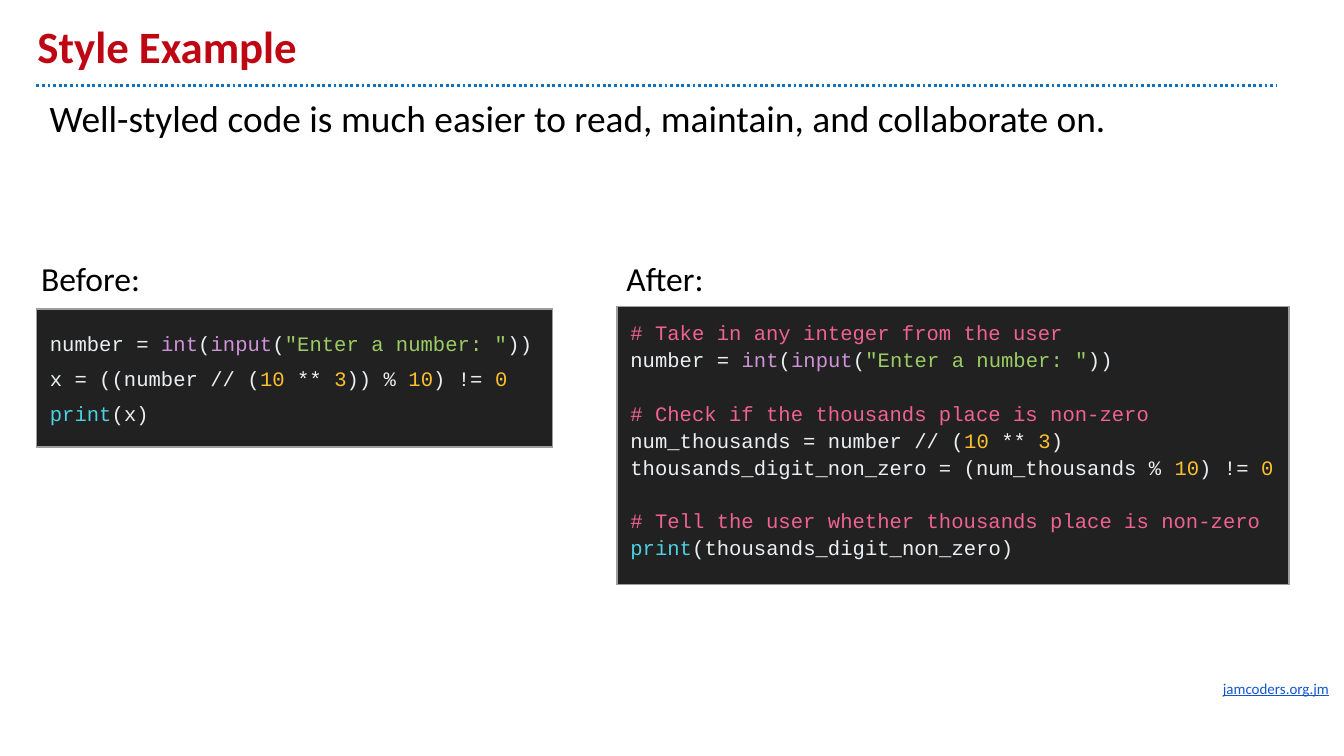
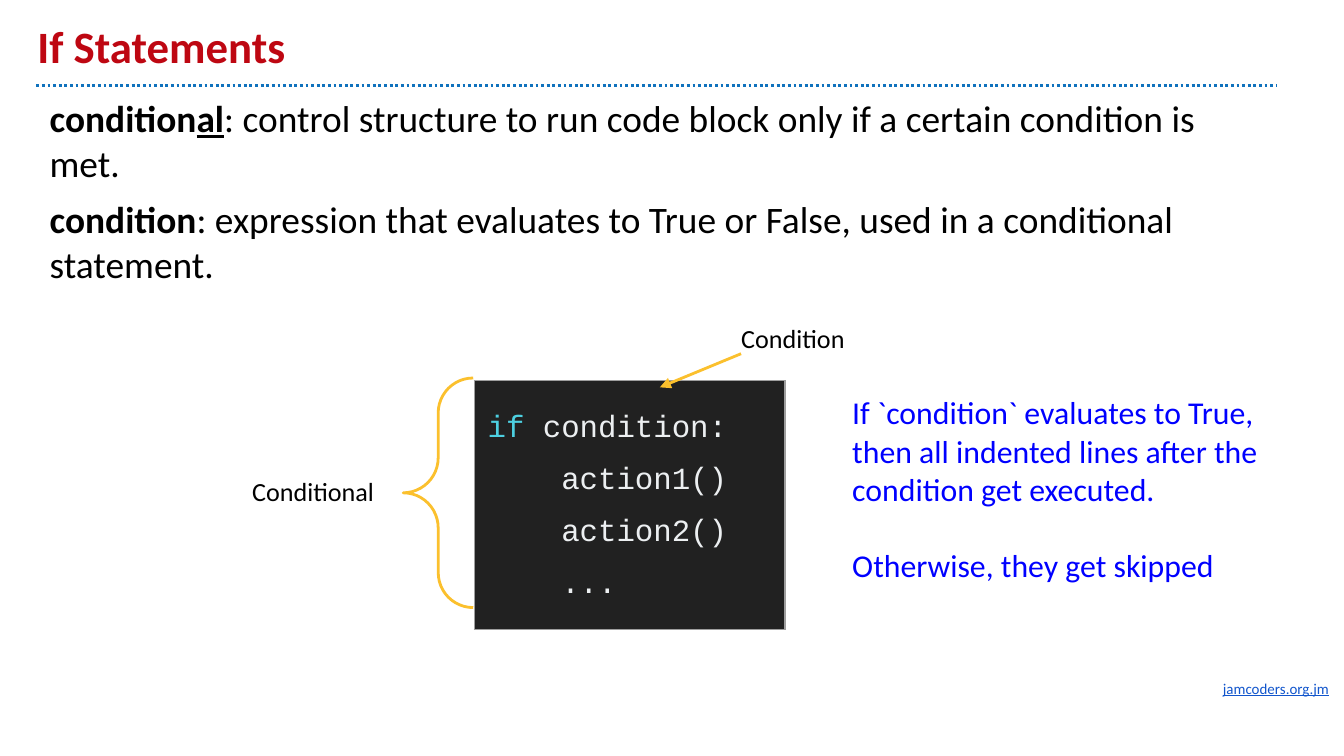
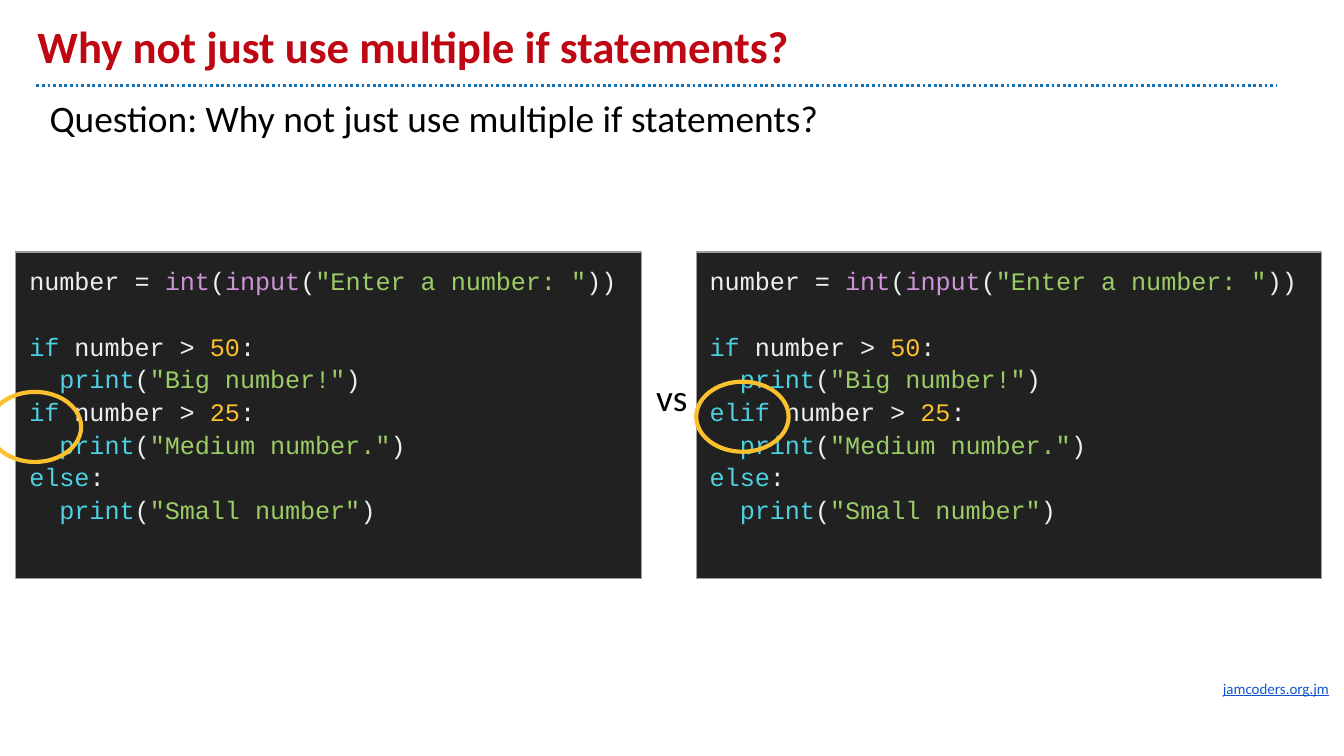
from pptx import Presentation
from pptx.dml.color import RGBColor
from pptx.enum.dml import MSO_LINE
from pptx.enum.shapes import MSO_CONNECTOR, MSO_SHAPE
from pptx.enum.text import MSO_ANCHOR
from pptx.oxml import parse_xml
from pptx.oxml.ns import nsdecls, qn
from pptx.util import Pt

STRAIGHT = MSO_CONNECTOR.STRAIGHT
BRACE = MSO_SHAPE.LEFT_BRACE
OVAL = MSO_SHAPE.OVAL
BOTTOM = MSO_ANCHOR.BOTTOM
DOTS = MSO_LINE.ROUND_DOT

HUES = {
    "title": "BE0712", "rule": "1072BD", "link": "1155CC", "text": "000000",
    "note": "0000FF", "mark": "FBC02D", "panel": "212121", "edge": "9E9E9E",
    "plain": "ECEFF1", "number": "FBC02D", "string": "9CCC65",
    "remark": "F06292", "type": "CE93D8", "key": "4DD0E1",
}
RGB = {name: RGBColor.from_string(code) for name, code in HUES.items()}
WORDS = {"int": "type", "input": "type", "print": "key",
         "if": "key", "elif": "key", "else": "key"}
STARTS = {"#": "remark", '"': "string"}
PAD = Pt(7.2)


def add_text(slide, left, top, width, height, words, size, hue="text", gap=0):
    """Add a text box: newlines part paragraphs, bars part runs."""
    box = slide.shapes.add_textbox(Pt(left), Pt(top), Pt(width), Pt(height))
    frame = box.text_frame
    frame.word_wrap = True
    frame.margin_left = frame.margin_right = PAD
    frame.margin_top = frame.margin_bottom = PAD
    for i, line in enumerate(words.split("\n")):
        para = frame.add_paragraph() if i else frame.paragraphs[0]
        if i:
            para.space_before = Pt(gap)
        for part in line.split("|"):
            run = para.add_run()
            run.text = part
            run.font.name = "Calibri"
            run.font.size = Pt(size)
            run.font.color.rgb = RGB[hue]
    return frame


def add_code(slide, left, top, width, height, code, size, pitch):
    """Add a dark one-cell table; bars part the tokens of the code."""
    table = slide.shapes.add_table(
        1, 1, Pt(left), Pt(top), Pt(width), Pt(height)).table
    table.first_row = table.horz_banding = False
    cell = table.cell(0, 0)
    cell.fill.solid()
    cell.fill.fore_color.rgb = RGB["panel"]
    cell.margin_left = cell.margin_right = PAD
    cell.margin_top = cell.margin_bottom = PAD
    props = cell._tc.get_or_add_tcPr()
    for i, side in enumerate(("lnL", "lnR", "lnT", "lnB")):
        props.insert(i, parse_xml(
            f'<a:{side} {nsdecls("a")} w="9525"><a:solidFill>'
            f'<a:srgbClr val="{HUES["edge"]}"/></a:solidFill></a:{side}>'))
    para = cell.text_frame.paragraphs[0]
    for i, block in enumerate(code.strip("\n").split("\n\n")):
        for j, line in enumerate(block.split("\n")):
            if i or j:
                para = cell.text_frame.add_paragraph()
            if i and not j:
                para.space_before = Pt(round(size * 1.3, 1))
            para.line_spacing = pitch
            for part in line.split("|"):
                kind = "number" if part.isdigit() else WORDS.get(part, "plain")
                run = para.add_run()
                run.text = part
                run.font.name = "Courier New"
                run.font.size = Pt(size)
                run.font.color.rgb = RGB[STARTS.get(part[:1], kind)]


BEFORE = """
number = |int|(|input|(|"Enter a number: "|))
x = ((number // (|10| ** |3|)) % |10|) != |0
print|(x)
"""
AFTER = """
# Take in any integer from the user
number = |int|(|input|(|"Enter a number: "|))

# Check if the thousands place is non-zero
num_thousands = number // (|10| ** |3|)
thousands_digit_non_zero = (num_thousands % |10|) != |0

# Tell the user whether thousands place is non-zero
print|(thousands_digit_non_zero)
"""
BRANCH = """
if| condition:
    action1()
    action2()
    ...
"""
SIZES = """
number = |int|(|input|(|"Enter a number: "|))

if| number > |50|:
  |print|(|"Big number!"|)
{}| number > |25|:
  |print|(|"Medium number."|)
else|:
  |print|(|"Small number"|)
"""
PAGES = [
    ("Style Example",
     "Well-styled code is much easier to read, maintain, and collaborate on."),
    ("If Statements",
     "condition|al|: control structure to run code block only if a certain "
     "condition is met.\n"
     "condition|: expression that evaluates to True or False, used in a "
     "conditional statement."),
    ("Why not just use multiple if statements?",
     "Question: Why not just use multiple if statements?"),
]

deck = Presentation()
deck.slide_width, deck.slide_height = Pt(720), Pt(405)

# Shared frame: footer, dotted rule, title and body
slides, bodies = [], []
for title, body in PAGES:
    slide = deck.slides.add_slide(deck.slide_layouts[6])
    foot = add_text(slide, 648, 359, 79, 24, "jamcoders.org.jm", 8, "link")
    foot.paragraphs[0].runs[0].font.underline = True
    rule = slide.shapes.add_connector(
        STRAIGHT, Pt(19.5), Pt(46), Pt(684), Pt(46))
    rule.line.color.rgb = RGB["rule"]
    rule.line.width = Pt(1.5)
    rule.line.dash_style = DOTS
    rule._element.spPr.append(parse_xml(f'<a:effectLst {nsdecls("a")}/>'))
    head = add_text(slide, 13, 7, 648, 39, title, 24, "title")
    head.vertical_anchor = BOTTOM
    head.paragraphs[0].runs[0].font.bold = True
    bodies.append(add_text(slide, 19.5, 44, 664.5, 327, body, 20, gap=6))
    slides.append(slide)
style, cond, multi = slides

# Style Example
add_code(style, 19.5, 165.5, 276.5, 74, BEFORE, 11, 1.5)
add_code(style, 330.5, 164, 360, 149, AFTER, 11, 1.15)
for left, label in ((15, "Before:"), (328.5, "After:")):
    add_text(style, left, 131, 105, 36, label, 18)

# If Statements
for para in bodies[1].paragraphs:
    for run in para.runs[:-1]:
        run.font.bold = True
        run.font.underline = run.text == "al"
add_code(cond, 254, 204, 166.5, 123, BRANCH, 16.5, 1.5)
add_text(cond, 449.5, 203.5, 235, 117,
         "If `condition` evaluates to True, then all indented lines after the "
         "condition get executed.\nOtherwise, they get skipped",
         17, "note", gap=20.5)
arrow = cond.shapes.add_connector(
    STRAIGHT, Pt(397), Pt(189.5), Pt(353.5), Pt(207.5))
arrow.line.color.rgb = RGB["mark"]
arrow.line.width = Pt(1.5)
props = arrow._element.spPr
props.find(qn("a:ln")).append(
    parse_xml(f'<a:tailEnd {nsdecls("a")} type="triangle"/>'))
props.append(parse_xml(f'<a:effectLst {nsdecls("a")}/>'))
add_text(cond, 390, 165.5, 78.5, 31.5, "Condition", 14)
add_text(cond, 128, 247.5, 83.5, 31.5, "Conditional", 14)

# Why not just use multiple if statements?
for left, word in ((8.5, "if"), (373, "elif")):
    add_code(multi, left, 135, 335, 175, SIZES.format(word), 13.5, 1.15)
versus = add_text(multi, 344.5, 193.5, 31, 39, "vs", 20)
versus.word_wrap = False

# Yellow marks: a brace around the block, rings around the keywords
for slide, kind, left, top, width, height, weight in (
        (cond, BRACE, 216, 202.5, 37.5, 123, 1.5),
        (multi, OVAL, -6, 210, 49.5, 37.5, 2.25),
        (multi, OVAL, 373, 204.5, 49.5, 37.5, 2.25)):
    mark = slide.shapes.add_shape(
        kind, Pt(left), Pt(top), Pt(width), Pt(height))
    mark.shadow.inherit = False
    mark.fill.background()
    mark.line.color.rgb = RGB["mark"]
    mark.line.width = Pt(weight)
    if kind == BRACE:
        mark.adjustments[0] = mark.adjustments[1] = 0.5

deck.save("out.pptx")
